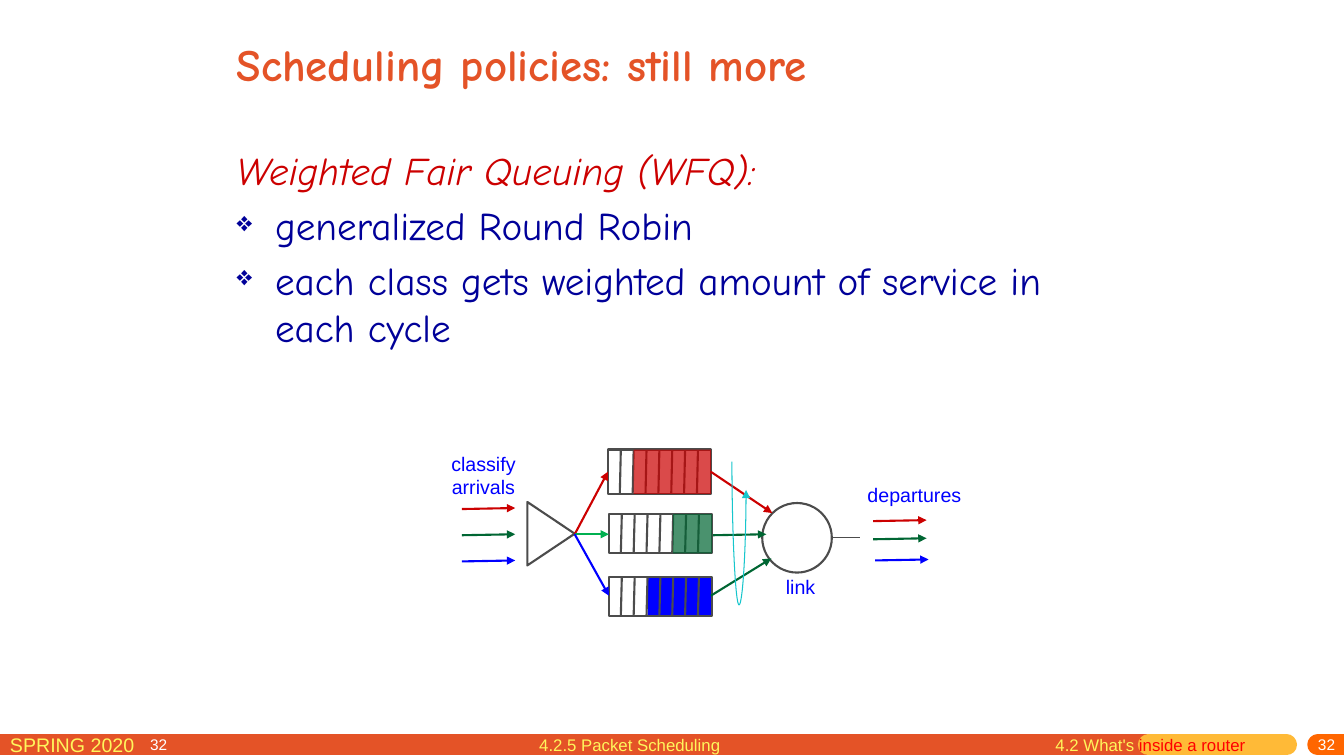
from dataclasses import dataclass

from lxml import etree
from pptx import Presentation
from pptx.dml.color import RGBColor
from pptx.enum.shapes import MSO_CONNECTOR as CONN, MSO_SHAPE as SHAPE
from pptx.enum.text import MSO_ANCHOR as ANCHOR, MSO_AUTO_SIZE as AUTO, PP_ALIGN as ALIGN
from pptx.oxml.ns import qn
from pptx.util import Inches, Pt


@dataclass(frozen=True)
class Theme:
    orange: str = "E45327"
    amber: str = "FFBA37"
    bright: str = "FF6600"
    yellow: str = "FFF65C"
    white: str = "FFFFFF"
    pure_red: str = "FF0000"
    red: str = "CC0000"
    navy: str = "000099"
    blue: str = "0000FF"
    green: str = "006633"
    light_green: str = "00B050"
    cyan: str = "16C6CC"
    outline: str = "4C4C4C"
    hand: str = "Comic Neue"
    sans: str = "Arial"
    title: float = 32
    body: float = 28
    label: float = 14
    footer: float = 12
    number: float = 11
    stroke: float = 1.5
    thin: float = 0.75
    bar: float = 15


T = Theme()


def sub(parent, tag, **attrs):
    return etree.SubElement(parent, qn(tag), attrs)


def style(p, size, color, font=T.sans, bold=False, italic=False):
    for r in p.runs:
        r.font.name, r.font.size = font, Pt(size)
        r.font.bold, r.font.italic = bold, italic
        r.font.color.rgb = RGBColor.from_string(color)


def add_text(s, box, text, size, color, font=T.sans, align=ALIGN.LEFT,
             anchor=ANCHOR.TOP, wrap=True, bold=False):
    sp = s.shapes.add_textbox(*map(Inches, box))
    tf = sp.text_frame
    tf.text = text
    tf.word_wrap, tf.vertical_anchor = wrap, anchor
    for p in tf.paragraphs:
        p.alignment = align
        style(p, size, color, font, bold)
    return tf


def add_line(shapes, start, end, color, width=T.stroke, arrow=False,
             cap="flat", kind=CONN.STRAIGHT):
    cx = shapes.add_connector(kind, *map(Inches, (*start, *end)))
    cx.line.color.rgb = RGBColor.from_string(color)
    cx.line.width = Pt(width)
    ln = cx.line._get_or_add_ln()
    ln.set("cap", cap)
    if arrow:
        sub(ln, "a:tailEnd", type="triangle")
    sub(cx._element.spPr, "a:effectLst")
    return cx


def add_outline(shapes, kind, box):
    sp = shapes.add_shape(kind, *map(Inches, box))
    sp.shadow.inherit = False
    sp.fill.background()
    sp.line.color.rgb = RGBColor.from_string(T.outline)
    sp.line.width = Pt(T.stroke)
    return sp


def add_fill(shapes, box, color, opacity):
    sp = shapes.add_shape(SHAPE.RECTANGLE, *map(Inches, box))
    sp.shadow.inherit = False
    sp.line.fill.background()
    sp.fill.solid()
    sp.fill.fore_color.rgb = RGBColor.from_string(color)
    if opacity < 100:
        clr = sp._element.spPr.find(".//" + qn("a:srgbClr"))
        sub(clr, "a:alpha", val=str(opacity * 1000))


def add_footer(s, box):
    x, y, w, h = box
    mid = y + 0.17
    for x1, x2, color in ((0, 11.39, T.orange), (11.39, 12.76, T.amber),
                          (13.07, w, T.bright)):
        add_line(s.shapes, (x + x1, mid), (x + x2, mid), color, T.bar, cap="rnd")
    add_text(s, (x, y, 2.29, h), "SPRING 2020", T.label, T.yellow)
    for left, width, align in ((10.75, 2.59, ALIGN.RIGHT), (1.39, 0.55, ALIGN.LEFT)):
        tf = add_text(s, (x + left, y + 0.1, width, 0.17), "32", T.number, T.white,
                      align=align, anchor=ANCHOR.MIDDLE)
        tf.margin_top, tf.margin_bottom = 0, Inches(0.05)
    add_text(s, (x + 5.25, y + 0.02, 2.76, h), "4.2.5 Packet Scheduling", T.footer, T.yellow)
    tf = add_text(s, (x + 10.37, y + 0.02, 2.2, h), "4.2 What's ", T.footer, T.yellow)
    p = tf.paragraphs[0]
    r = p.add_run()
    r.text = "inside a router"
    style(p, T.footer, T.yellow)
    r.font.color.rgb = RGBColor.from_string(T.pure_red)


def add_body(s, box, heading, points):
    tf = add_text(s, box, "\n".join([heading, *points]), T.body, T.navy, T.hand)
    for i, p in enumerate(tf.paragraphs):
        pPr = p._p.get_or_add_pPr()
        pPr.set("marL", str(Inches(0.38)))
        pPr.set("indent", str(-Inches(0.38)))
        if i:
            sub(pPr, "a:buSzPct", val="70000")
            sub(pPr, "a:buChar", char="❖")
            p.space_before = Pt(5.6)
    style(tf.paragraphs[0], T.body, T.red, T.hand, italic=True)


def add_queue(s, box, color, empty, opacity, slots=8):
    x, y, w, h = box
    shapes = s.shapes.add_group_shape().shapes
    step = w / slots
    packets = (x + empty * step, y, w - empty * step, h)
    if opacity == 100:
        add_fill(shapes, packets, color, opacity)
    add_outline(shapes, SHAPE.RECTANGLE, box)
    for i in range(1, slots):
        left = x + i * step
        add_line(shapes, (left, y), (left - 0.01, y + h), T.outline)
    if opacity < 100:
        add_fill(shapes, packets, color, opacity)


def add_cycle(s, box):
    x, y, w, h = box
    cx = add_line(s.shapes, (x, y + h), (x + w, y), T.cyan, T.thin, True, kind=CONN.CURVE)
    spPr = cx._element.spPr
    spPr.find(qn("a:xfrm")).set("rot", "5400000")
    geom = spPr.find(qn("a:prstGeom"))
    guides = geom.find(qn("a:avLst"))
    if guides is None:
        guides = sub(geom, "a:avLst")
    sub(guides, "a:gd", name="adj1", fmla="val 507600")


def add_diagram(s, x, y):
    def at(left, top):
        return x + left, y + top

    for left, top, h, color, empty, opacity in (
            (2.04, 1.1, 0.39, T.green, 5, 71),
            (2.03, 0.46, 0.44, T.red, 2, 71),
            (2.04, 1.72, 0.39, T.blue, 3, 100)):
        add_queue(s, (*at(left, top), 1.02, h), color, empty, opacity)

    classifier = add_outline(s.shapes, SHAPE.ISOSCELES_TRIANGLE, (*at(1.15, 1.06), 0.63, 0.47))
    classifier.rotation = 90
    add_outline(s.shapes, SHAPE.OVAL, (*at(3.56, 0.99), 0.69, 0.69))

    arrows = [
        ((1.7, 1.3), (2.03, 0.68), T.red),
        ((1.7, 1.3), (2.04, 1.3), T.light_green),
        ((1.7, 1.3), (2.04, 1.91), T.blue),
        ((3.05, 0.68), (3.66, 1.09), T.red),
        ((3.07, 1.31), (3.6, 1.3), T.green),
        ((3.05, 1.91), (3.65, 1.54), T.green),
    ]
    flows = ((0.58, 1.05, T.red), (0.58, 1.31, T.green), (0.58, 1.57, T.blue),
             (4.66, 1.17, T.red), (4.66, 1.35, T.green), (4.68, 1.56, T.blue))
    arrows += [((l, t), (l + 0.53, t - 0.01), c) for l, t, c in flows]
    for start, end, color in arrows:
        add_line(s.shapes, at(*start), at(*end), color, arrow=True)
    add_line(s.shapes, at(4.25, 1.33), at(4.53, 1.33), T.outline, T.thin)

    for text, left, top, w, h in (("classify\narrivals", 0.37, 0.43, 0.85, 0.57),
                                  ("departures", 4.5, 0.74, 1.14, 0.34),
                                  ("link", 3.69, 1.65, 0.5, 0.34)):
        tf = add_text(s, (*at(left, top), w, h), text, T.label, T.blue,
                      align=ALIGN.CENTER, wrap=False)
        tf.auto_size = AUTO.SHAPE_TO_FIT_TEXT
    add_cycle(s, (*at(3.19, 0.65), 0.28, 0.14))


def main():
    prs = Presentation()
    prs.slide_width, prs.slide_height = Inches(13.33), Inches(7.5)
    s = prs.slides.add_slide(prs.slide_layouts[6])
    add_footer(s, (0, 7.22, 13.33, 0.31))
    add_body(s, (2.25, 1.4, 8.5, 2.75), "Weighted Fair Queuing (WFQ):",
             ["generalized Round Robin",
              "each class gets weighted amount of service in each cycle"])
    add_text(s, (2.25, 0.01, 8.5, 1.25), "Scheduling policies: still more",
             T.title, T.orange, T.hand, anchor=ANCHOR.MIDDLE, bold=True)
    add_diagram(s, 4, 4)
    prs.save("out.pptx")


if __name__ == "__main__":
    main()
